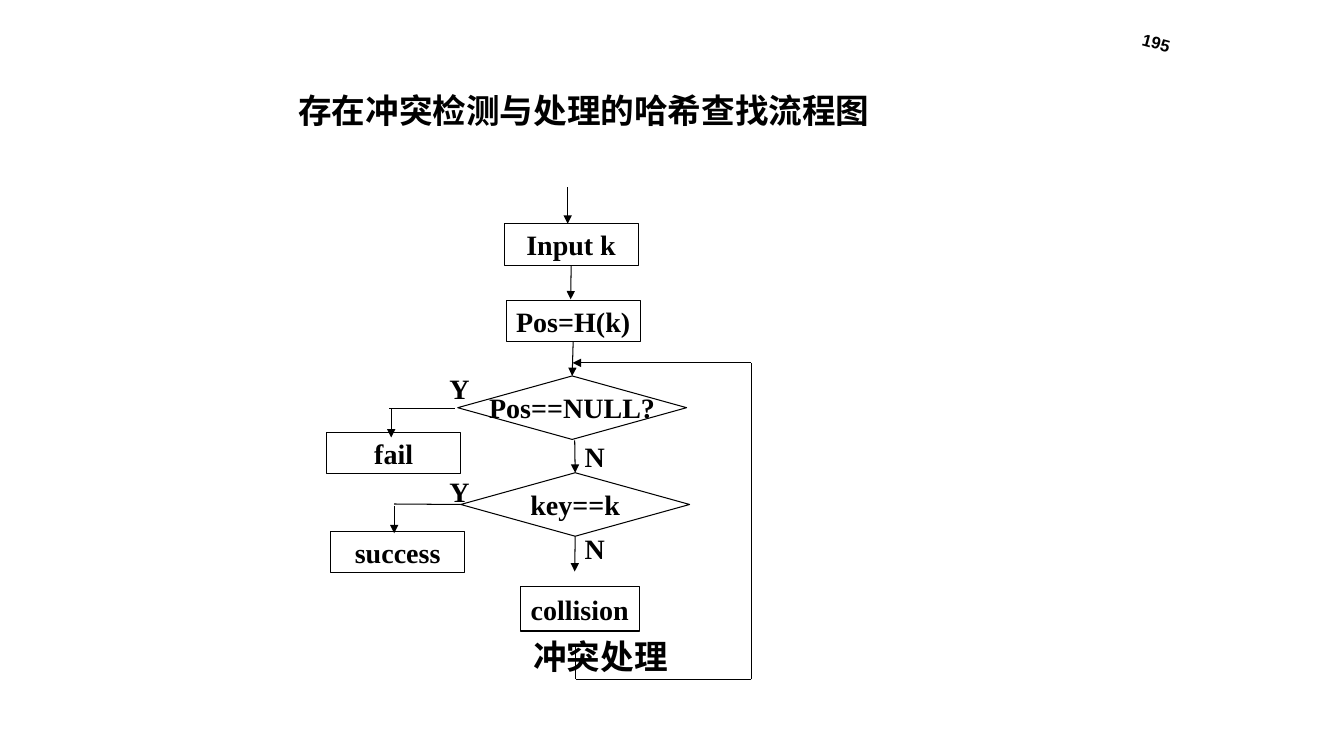
from dataclasses import dataclass
from lxml.etree import SubElement
from pptx import Presentation
from pptx.dml.color import RGBColor
from pptx.enum.shapes import MSO_CONNECTOR as Connector, MSO_SHAPE as Preset
from pptx.enum.text import MSO_ANCHOR as Anchor, MSO_AUTO_SIZE as AutoSize, PP_ALIGN as Align
from pptx.oxml.ns import qn
from pptx.util import Inches, Pt

COLOURS = {"ink": "000000"}
CELL = 0.1
TOP, LEFT, BOTTOM = 0, 1, 2
SERIF = {"name": "Times New Roman", "size": Pt(20), "bold": True}
HEADING = {"name": "Calibri", "size": Pt(24), "bold": True}
NUMBER = {"name": "Arial", "size": Pt(12), "bold": True}


@dataclass
class Box:
    column: float
    row: float
    columns: float
    rows: float

    def inner(self, column, row, columns, rows):
        return Box(self.column + column, self.row + row, columns, rows)

    def point(self, column, row):
        return Inches((self.column + column) * CELL), Inches((self.row + row) * CELL)

    def emu(self):
        return [Inches(n * CELL) for n in (self.column, self.row, self.columns, self.rows)]


def ink():
    return RGBColor.from_string(COLOURS["ink"])


def apply(target, values):
    for name, value in values.items():
        setattr(target, name, value)


def write(shape, text, font, frame_values, paragraph_values):
    frame = shape.text_frame
    apply(frame, frame_values)
    paragraph = frame.paragraphs[0]
    apply(paragraph, paragraph_values)
    run = paragraph.add_run()
    run.text = text
    apply(run.font, font)
    run.font.color.rgb = ink()


def add_text(slide, box, text, font, frame_values, **paragraph_values):
    shape = slide.shapes.add_textbox(*box.emu())
    write(shape, text, font, frame_values, paragraph_values)
    return shape


def add_node(slide, box, preset, text):
    shape = slide.shapes.add_shape(preset, *box.emu())
    shape.shadow.inherit = False
    shape.fill.background()
    shape.line.color.rgb = ink()
    shape.line.width = Pt(0.75)
    write(shape, text, SERIF, {"word_wrap": False, "vertical_anchor": Anchor.MIDDLE},
          {"alignment": Align.CENTER})
    return shape


def add_line(slide, box, start, end, arrow, begin_joint=None, end_joint=None):
    line = slide.shapes.add_connector(Connector.STRAIGHT, *box.point(*start), *box.point(*end))
    line.line.color.rgb = ink()
    line.line.width = Pt(0.75)
    if begin_joint:
        line.begin_connect(*begin_joint)
    if end_joint:
        line.end_connect(*end_joint)
    properties = line._element.spPr
    if arrow:
        SubElement(properties.find(qn("a:ln")), qn("a:tailEnd"), type="triangle")
    SubElement(properties, qn("a:effectLst"))


def header(slide, box):
    title = add_text(slide, box.inner(0, 9.3, 93, 10.5), "存在冲突检测与处理的哈希查找流程图",
                     HEADING, {"word_wrap": True}, line_spacing=0.9)
    title.text_frame.paragraphs[0]._p.get_or_add_pPr().set("marL", str(Inches(0.4)))
    number = add_text(slide, box.inner(67.8, 0, 25, 4), "195", NUMBER,
                      {"word_wrap": True, "vertical_anchor": Anchor.MIDDLE}, alignment=Align.RIGHT)
    number.rotation = 15


def flowchart(slide, box):
    process = Preset.FLOWCHART_PROCESS, 13.3, 4.1
    decision = Preset.FLOWCHART_DECISION, 22.7, 6.3
    nodes = {}
    for text, column, row, (preset, columns, rows) in (
        ("Input k", 18, 4.2, process),
        ("Pos=H(k)", 18.2, 11.8, process),
        ("Pos==NULL?", 13.4, 19.3, decision),
        ("key==k", 13.7, 28.9, decision),
        ("fail", 0.4, 24.9, process),
        ("success", 0.8, 34.7, process),
        ("collision", 19.6, 40.2, (Preset.FLOWCHART_PROCESS, 11.8, 4.4)),
    ):
        nodes[text] = add_node(slide, box.inner(column, row, columns, rows), preset, text)

    read, locate, empty, match = (nodes[n] for n in ("Input k", "Pos=H(k)", "Pos==NULL?", "key==k"))
    for line in (
        ((24.3, 0.6), (24.3, 4.2), True),
        ((24.6, 8.3), (24.6, 11.7), True, (read, BOTTOM)),
        ((24.8, 15.8), (24.8, 19.2), True, (locate, BOTTOM), (empty, TOP)),
        ((25, 25.7), (25, 28.9), True, None, (match, TOP)),
        ((25, 35.2), (25, 38.7), True, (match, BOTTOM)),
        ((13.1, 22.5), (6.6, 22.5), False),
        ((6.8, 22.5), (6.8, 25.4), True),
        ((13.7, 32), (7.1, 32), False, (match, LEFT)),
        ((7.1, 32.2), (7.1, 34.9), True),
    ):
        add_line(slide, box, *line)

    loop = (25.1, 46.2), (25.1, 49.4), (42.5, 49.4), (42.5, 18), (24.8, 18)
    for start, end in zip(loop, loop[1:]):
        add_line(slide, box, start, end, end == loop[-1])

    fitted = {"word_wrap": False, "auto_size": AutoSize.SHAPE_TO_FIT_TEXT}
    for text, column, row in (("Y", 11.6, 18.4), ("N", 25, 25.1), ("Y", 11.6, 28.6), ("N", 25, 34.2)):
        add_text(slide, box.inner(column, row, 4, 4.4), text, SERIF, fitted)
    add_text(slide, box.inner(19.9, 44.6, 15.6, 5), "冲突处理", HEADING, fitted)


def main():
    presentation = Presentation()
    presentation.slide_width, presentation.slide_height = Inches(13.33), Inches(7.5)
    slide = presentation.slides.add_slide(presentation.slide_layouts[6])
    header(slide, Box(24.6, -0.4, 93, 20))
    flowchart(slide, Box(32, 18, 43, 50))
    presentation.save("out.pptx")


if __name__ == "__main__":
    main()
